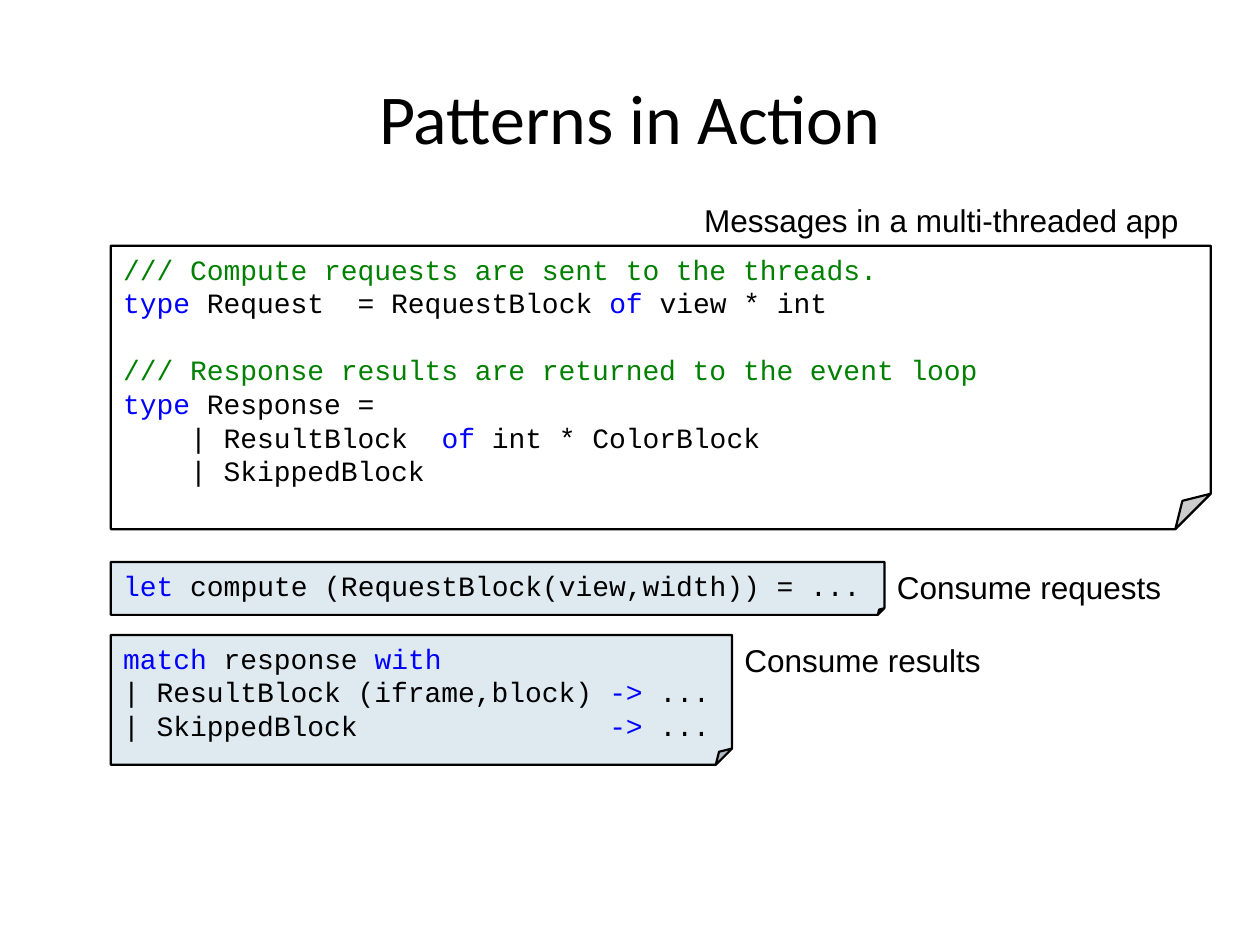
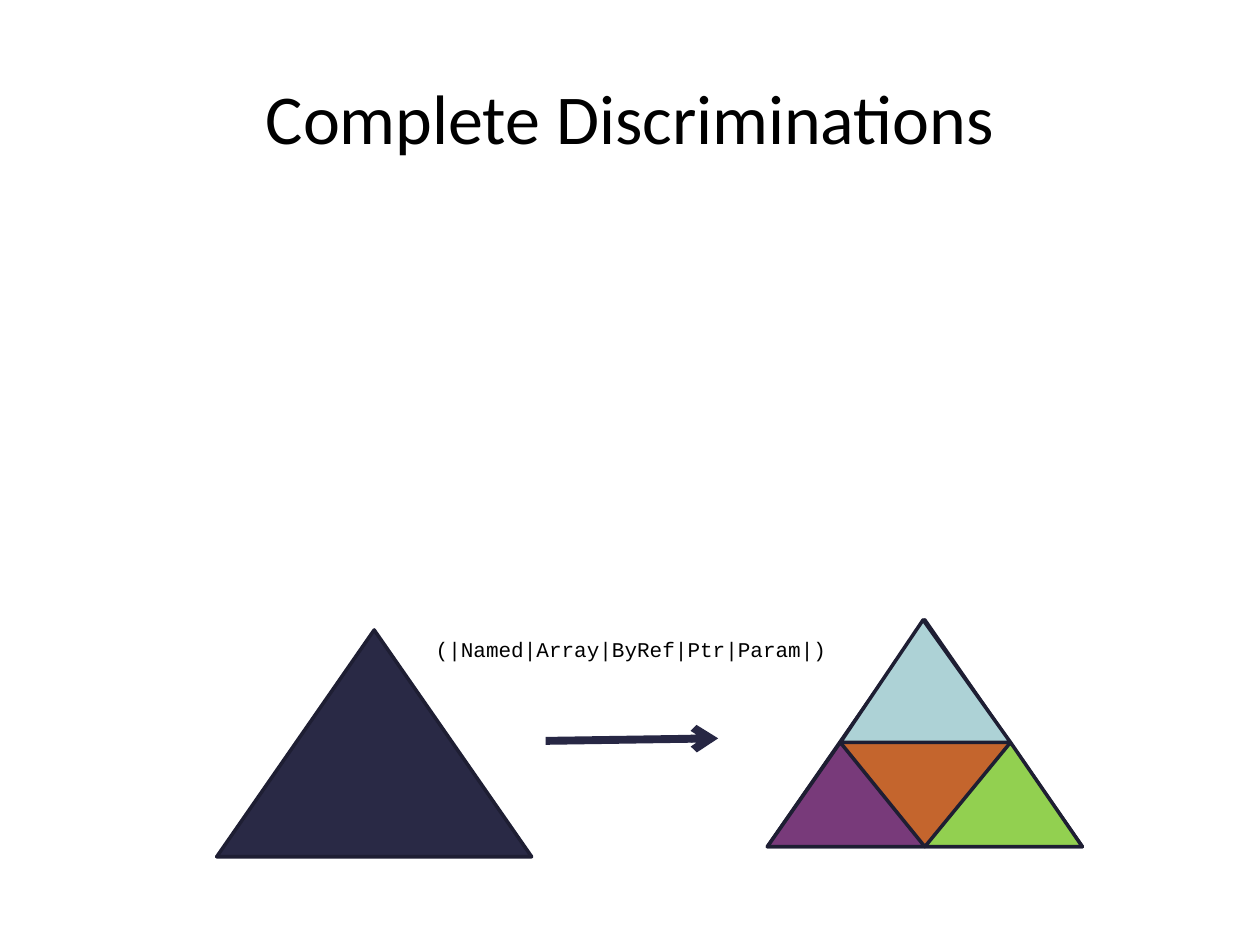
from lxml import etree
from pptx import Presentation
from pptx.dml.color import RGBColor
from pptx.enum.shapes import MSO_CONNECTOR, MSO_SHAPE
from pptx.enum.text import MSO_ANCHOR, PP_ALIGN
from pptx.oxml.ns import qn
from pptx.util import Inches, Pt

STRAIGHT = MSO_CONNECTOR.STRAIGHT
NOTE, TRI = MSO_SHAPE.FOLDED_CORNER, MSO_SHAPE.ISOSCELES_TRIANGLE
MIDDLE, TOP = MSO_ANCHOR.MIDDLE, MSO_ANCHOR.TOP
LEFT, CENTER = PP_ALIGN.LEFT, PP_ALIGN.CENTER

# The slide is a grid of 100 columns and 75 rows.
COLS, ROWS = 100, 75
CELL = Inches(0.1)
MARGIN = 8.8

HUES = {
    "ink": "000000", "paper": "FFFFFF", "pale": "DEE9F0",
    "key": "0000FF", "note": "008000",
    "navy": "292945", "edge": "1E1E33", "arrow": "272744",
    "rust": "C4652D", "sky": "ADD2D6", "lime": "92D050", "plum": "783A7A",
}
TITLE = {"name": "Calibri", "size": Pt(40)}
LABEL = {"name": "Arial", "size": Pt(18)}
CODE = {"name": "Courier New", "size": Pt(16)}
SMALL = {"name": "Courier New", "size": Pt(12)}
PITCH = Pt(19.2)

TYPES = [
    [("/// Compute requests are sent to the threads.", "note")],
    [("type", "key"), " Request  = RequestBlock ", ("of", "key"), " view * int"],
    [("/// Response results are returned to the event loop", "note")],
    [("type", "key"), " Response ="],
    ["    | ResultBlock  ", ("of ", "key"), "int * ColorBlock"],
    ["    | SkippedBlock"],
]
COMPUTE = [[("let", "key"), " compute (RequestBlock(view,width)) = ..."]]
MATCH = [
    [("match", "key"), " response ", ("with", "key")],
    ["| ResultBlock (iframe,block) ", ("->", "key"), " ..."],
    ["| SkippedBlock               ", ("->", "key"), " ..."],
]


def grid(*cells):
    return [round(n * CELL) for n in cells]


def color(name):
    return RGBColor.from_string(HUES[name])


def write(frame, lines, style, anchor=TOP, align=LEFT, pitch=None, gaps=()):
    """Fill a frame; each line lists plain strings or (text, hue) pairs."""
    frame.word_wrap = True
    frame.vertical_anchor = anchor
    for i, line in enumerate(lines):
        para = frame.paragraphs[0] if i == 0 else frame.add_paragraph()
        para.alignment = align
        if pitch:
            para.line_spacing = pitch
        if i in gaps:
            para.space_before = pitch
        for part in line:
            text, hue = (part, "ink") if isinstance(part, str) else part
            run = para.add_run()
            run.text = text
            for key, value in style.items():
                setattr(run.font, key, value)
            run.font.color.rgb = color(hue)


def label(slide, text, box, style=LABEL, **look):
    frame = slide.shapes.add_textbox(*grid(*box)).text_frame
    write(frame, [[text]], style, **look)


def adjust(item, share):
    """Set the one adjustment of a preset, whether or not it is listed."""
    guides = item._element.spPr.find(qn("a:prstGeom")).find(qn("a:avLst"))
    for guide in list(guides):
        guides.remove(guide)
    value = f"val {round(share * 100000)}"
    etree.SubElement(guides, qn("a:gd"), name="adj", fmla=value)


def shape(slide, kind, box, fill, edge, width, share):
    item = slide.shapes.add_shape(kind, *grid(*box))
    item.shadow.inherit = False
    item.fill.solid()
    item.fill.fore_color.rgb = color(fill)
    item.line.color.rgb = color(edge)
    item.line.width = Pt(width)
    adjust(item, share)
    return item


def code(slide, lines, box, fill="pale", gaps=()):
    item = shape(slide, NOTE, box, fill, "ink", 1.25, 0.125)
    write(item.text_frame, lines, CODE, MIDDLE, pitch=PITCH, gaps=gaps)


def peak(slide, box, fill, tip=0.5):
    shape(slide, TRI, box, fill, "edge", 2, tip)


def arrow(slide, start, end):
    line = slide.shapes.add_connector(STRAIGHT, *grid(*start, *end))
    line.line.color.rgb = color("arrow")
    line.line.width = Pt(4.5)
    props = line._element.spPr
    etree.SubElement(props.find(qn("a:ln")), qn("a:tailEnd"), type="arrow")
    etree.SubElement(props, qn("a:effectLst"))


def page(deck, title):
    slide = deck.slides.add_slide(deck.slide_layouts[6])
    label(slide, title, (5, 3, COLS - 10, 12.5), TITLE,
          anchor=MIDDLE, align=CENTER)
    return slide


def patterns(deck):
    slide = page(deck, "Patterns in Action")
    code(slide, TYPES, (MARGIN, 19.5, 87.3, 22.5), "paper", gaps=(2,))
    label(slide, "Messages in a multi-threaded app", (54.9, 15.5, 41.1, 4))
    uses = [
        (COMPUTE, 44.6, 61.4, 4.2, "Consume requests", 23.2),
        (MATCH, 50.4, 49.3, 10.3, "Consume results", 21),
    ]
    for lines, top, wide, high, text, span in uses:
        code(slide, lines, (MARGIN, top, wide, high))
        label(slide, text, (MARGIN + wide, top, span, 4))


def pyramid(slide, left, top, wide, high):
    """Draw a triangle split into a cap, two feet and the centre between."""
    cap, half = 0.54 * high, wide / 2
    base = top + cap
    foot = high - cap
    peak(slide, (left, top, wide, high), "rust")
    peak(slide, (left + 5.8, top, 0.54 * wide, cap), "sky", 0.486)
    peak(slide, (left + half, base, half, foot), "lime", 0.544)
    peak(slide, (left, base, half, foot), "plum", 0.463)


def splits(deck):
    slide = page(deck, "Complete Discriminations")
    size = 25, 18
    peak(slide, (17.2, 50, *size), "navy")
    pyramid(slide, 60.9, 49.2, *size)
    arrow(slide, (43.3, 58.8), (57, 58.6))
    label(slide, "(|Named|Array|ByRef|Ptr|Param|)", (33.6, 50, 34.6, 3), SMALL)


def main():
    deck = Presentation()
    deck.slide_width, deck.slide_height = grid(COLS, ROWS)
    patterns(deck)
    splits(deck)
    deck.save("out.pptx")


if __name__ == "__main__":
    main()
